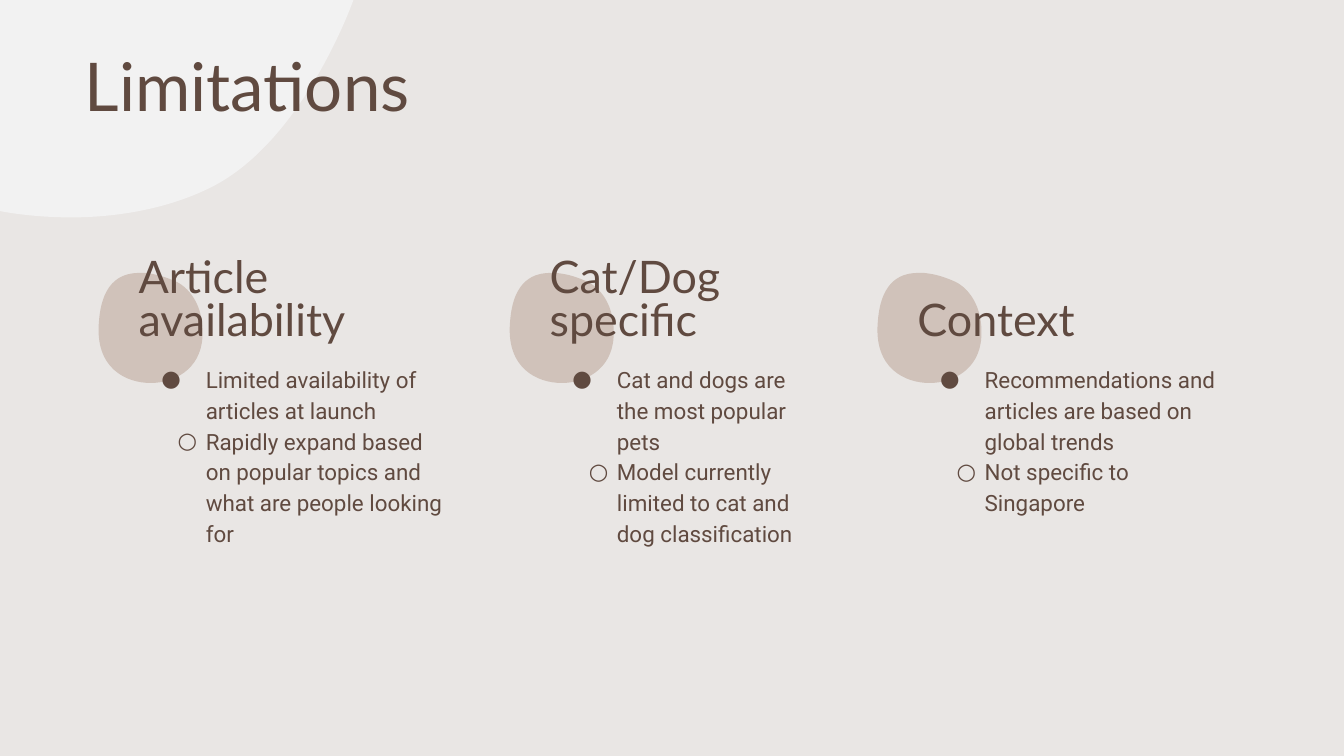
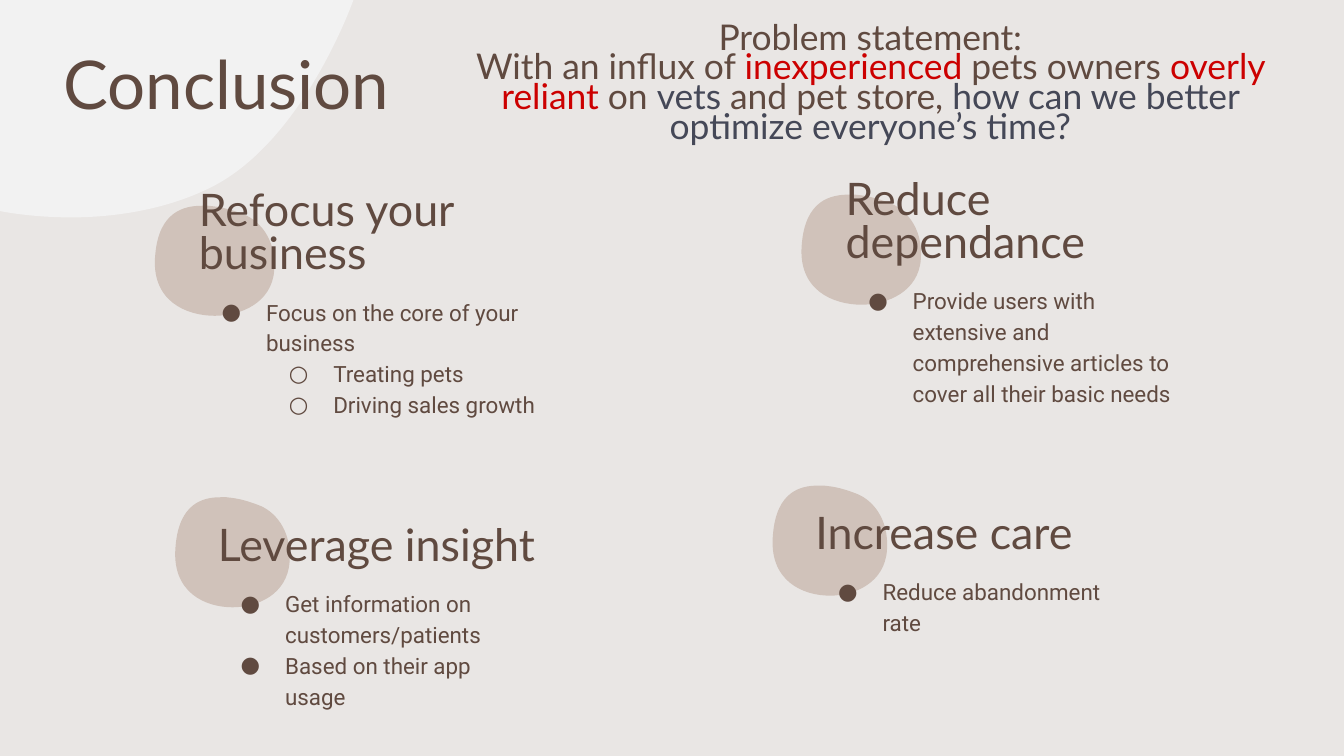
"""Build the Limitations and Conclusion slides."""
import pptx
import pptx.util
import pptx.dml.color
import pptx.enum.text
import pptx.oxml.ns
import lxml.etree

Cm, Pt, qn = pptx.util.Cm, pptx.util.Pt, pptx.oxml.ns.qn
RGBColor = pptx.dml.color.RGBColor
TOP = pptx.enum.text.MSO_ANCHOR.TOP
BOTTOM = pptx.enum.text.MSO_ANCHOR.BOTTOM
LEFT, CENTER = pptx.enum.text.PP_ALIGN.LEFT, pptx.enum.text.PP_ALIGN.CENTER
FIT = pptx.enum.text.MSO_AUTO_SIZE.SHAPE_TO_FIT_TEXT

PAPER = RGBColor(0xE9, 0xE6, 0xE4)
LIGHT = RGBColor(0xF2, 0xF2, 0xF2)
SAND = RGBColor(0xD0, 0xC2, 0xBA)
BROWN = RGBColor(0x60, 0x4A, 0x40)
RED = RGBColor(0xCC, 0x00, 0x00)
SLATE = RGBColor(0x45, 0x48, 0x57)

BULLET = {"char": "●", "margin": 1.27, "hang": 0.84, "level": 0}
TIGHT = {"char": "○", "margin": 1.27, "hang": 0.53, "level": 1}
NESTED = {"char": "○", "margin": 2.54, "hang": 0.84, "level": 1}

SLIDES = [
    {
        "title": ("Limitations", 1.35, 1),
        "cards": [
            {"head": "Article availability", "at": (2.37, 5.61), "wide": (6.93, 6.35), "blob": 2.08,
             "items": [(BULLET, "Limited availability of articles at launch"),
                       (TIGHT, "Rapidly expand based on popular topics and what are people looking for")]},
            {"head": "Cat/Dog specific", "at": (10.14, 5.61), "wide": (5.56, 5.26), "blob": 2.08,
             "items": [(BULLET, "Cat and dogs are the most popular pets"),
                       (TIGHT, "Model currently limited to cat and dog classification")]},
            {"head": "Context", "at": (17.09, 5.61), "wide": (5, 6.35), "blob": 2.08,
             "items": [(BULLET, "Recommendations and articles are based on global trends"),
                       (TIGHT, "Not specific to Singapore")]},
        ],
        "problem": [],
    },
    {
        "title": ("Conclusion", 0.95, 0.97),
        "cards": [
            {"head": "Refocus your business", "at": (3.51, 4.34), "wide": (7.87, 7.24), "blob": 2.39,
             "items": [(BULLET, "Focus on the core of your business"),
                       (NESTED, "Treating pets"),
                       (NESTED, "Driving sales growth")]},
            {"head": "Reduce dependance", "at": (15.73, 4.13), "wide": (6.86, 6.65), "blob": 2.39,
             "items": [(BULLET, "Provide users with extensive and comprehensive articles "
                                "to cover all their basic needs")]},
            {"head": "Leverage insight", "at": (3.87, 9.85), "wide": (7.42, 6.43), "blob": 2.29,
             "items": [(BULLET, "Get information on customers/patients"),
                       (BULLET, "Based on their app usage")]},
            {"head": "Increase care", "at": (15.16, 9.63), "wide": (7.42, 6.43), "blob": 2.29,
             "items": [(BULLET, "Reduce abandonment rate")]},
        ],
        "problem": [
            [("Problem statement:", BROWN)],
            [("With an influx of ", BROWN), ("inexperienced ", RED), ("pets owners ", BROWN),
             ("overly reliant", RED), (" on ", BROWN), ("vets", SLATE),
             (" and pet store, ", BROWN), ("how can we better optimize everyone’s time?", SLATE)],
        ],
    },
]

WAVE_KIND = "CCLLC"
WAVE = [(1.35, 4.11),
        (2.08, 4.11), (3.05, 3.99), (3.91, 3.58),
        (5.72, 2.74), (6.68, 0), (6.68, 0),
        (0, 0),
        (0, 3.99),
        (0, 3.99), (0.56, 4.11), (1.35, 4.11)]
BLOB_KIND = "CCCCCC"
BLOB = [(0.41, 0),
        (0.27, 0), (0.07, 0.05), (0.04, 0.44),
        (0, 0.87), (0.29, 1), (0.51, 1),
        (0.72, 1), (0.96, 0.88), (0.98, 0.59),
        (1, 0.29), (0.85, 0.12), (0.72, 0.07),
        (0.6, 0.02), (0.54, 0.01), (0.46, 0),
        (0.45, 0), (0.43, 0), (0.41, 0)]
BLOB_TALL, BLOB_RISE, BLOB_SHIFT = 2.08, 0.45, 0.28
HEAD_TALL, BODY_TALL, BODY_DROP = 1.17, 1.83, 0.98


def outline(slide, knots, kinds, color):
    """Draw a closed shape of lines (L) and cubic curves (C) through knots in cm."""
    spots = [(Cm(x), Cm(y)) for x, y in knots]
    pen = slide.shapes.build_freeform(*spots[0])
    pen.add_line_segments(spots[1:], close=True)
    shape = pen.convert_to_shape()
    legs = iter(list(shape._element.iter(qn("a:lnTo"))))
    for kind in kinds:
        leg = next(legs)
        if kind == "C":
            curve = lxml.etree.Element(qn("a:cubicBezTo"))
            leg.addprevious(curve)
            for part in (leg, next(legs), next(legs)):
                curve.append(part[0])
                part.getparent().remove(part)
    shape.shadow.inherit = False
    shape.fill.solid()
    shape.fill.fore_color.rgb = color
    shape.line.fill.background()
    return shape


def frame(slide, box, anchor=TOP):
    """Add an empty wrapping text box and return its frame."""
    text = slide.shapes.add_textbox(*map(Cm, box)).text_frame
    text.word_wrap = True
    text.vertical_anchor = anchor
    text.margin_left = text.margin_right = text.margin_top = text.margin_bottom = Cm(0.25)
    return text


def mark(para, style, size, face):
    """Give a paragraph its bullet and indents."""
    para.level = style["level"]
    props = para._p.get_or_add_pPr()
    props.set("marL", str(Cm(style["margin"])))
    props.set("indent", str(-Cm(style["hang"])))
    tint = lxml.etree.SubElement(props, qn("a:buClr"))
    lxml.etree.SubElement(tint, qn("a:srgbClr")).set("val", str(BROWN))
    lxml.etree.SubElement(props, qn("a:buSzPts")).set("val", str(size * 100))
    lxml.etree.SubElement(props, qn("a:buFont")).set("typeface", face)
    lxml.etree.SubElement(props, qn("a:buChar")).set("char", style["char"])


def fill(text, lines, size, face, space, align=LEFT):
    """Write (style, runs) lines, each run being (words, colour)."""
    for i, (style, runs) in enumerate(lines):
        para = text.add_paragraph() if i else text.paragraphs[0]
        para.alignment = align
        para.line_spacing = space
        if style:
            mark(para, style, size, face)
        para.font.size = Pt(size)
        para.font.name = face
        para.font.color.rgb = BROWN
        for words, color in runs:
            run = para.add_run()
            run.text = words
            if color != BROWN:
                run.font.color.rgb = color


def card(slide, data):
    """Draw a heading and its bullets."""
    x, y = data["at"]
    head, body = data["wide"]
    fill(frame(slide, (x, y + BODY_DROP, body, BODY_TALL)),
         [(style, [(words, BROWN)]) for style, words in data["items"]], 12, "Roboto", 1.15)
    fill(frame(slide, (x, y, head, HEAD_TALL), BOTTOM),
         [(None, [(data["head"], BROWN)])], 24, "Lato", 0.8)


def build(deck, data):
    """Add one slide."""
    slide = deck.slides.add_slide(deck.slide_layouts[6])
    for item in data["cards"]:
        x, y = item["at"]
        wide = item["blob"]
        outline(slide, [(x + (u - BLOB_SHIFT) * wide, y - BLOB_RISE + v * BLOB_TALL)
                        for u, v in BLOB], BLOB_KIND, SAND)
    for item in data["cards"]:
        card(slide, item)
    words, x, y = data["title"]
    fill(frame(slide, (x, y, 21.54, 1.6)), [(None, [(words, BROWN)])], 36, "Lato", 0.7)
    if data["problem"]:
        text = frame(slide, (7.89, 0.25, 17.12, 2.82))
        text.auto_size = FIT
        fill(text, [(None, runs) for runs in data["problem"]], 19, "Lato", 0.7, CENTER)
    return slide


def main():
    """Build and save the deck."""
    deck = pptx.Presentation()
    deck.slide_width, deck.slide_height = Cm(25.4), Cm(14.29)
    master = deck.slide_master
    master.background.fill.solid()
    master.background.fill.fore_color.rgb = PAPER
    first, *_ = [build(deck, data) for data in SLIDES]
    wave = outline(first, WAVE, WAVE_KIND, LIGHT)
    master.shapes._spTree.append(wave._element)
    deck.save("out.pptx")


if __name__ == "__main__":
    main()
